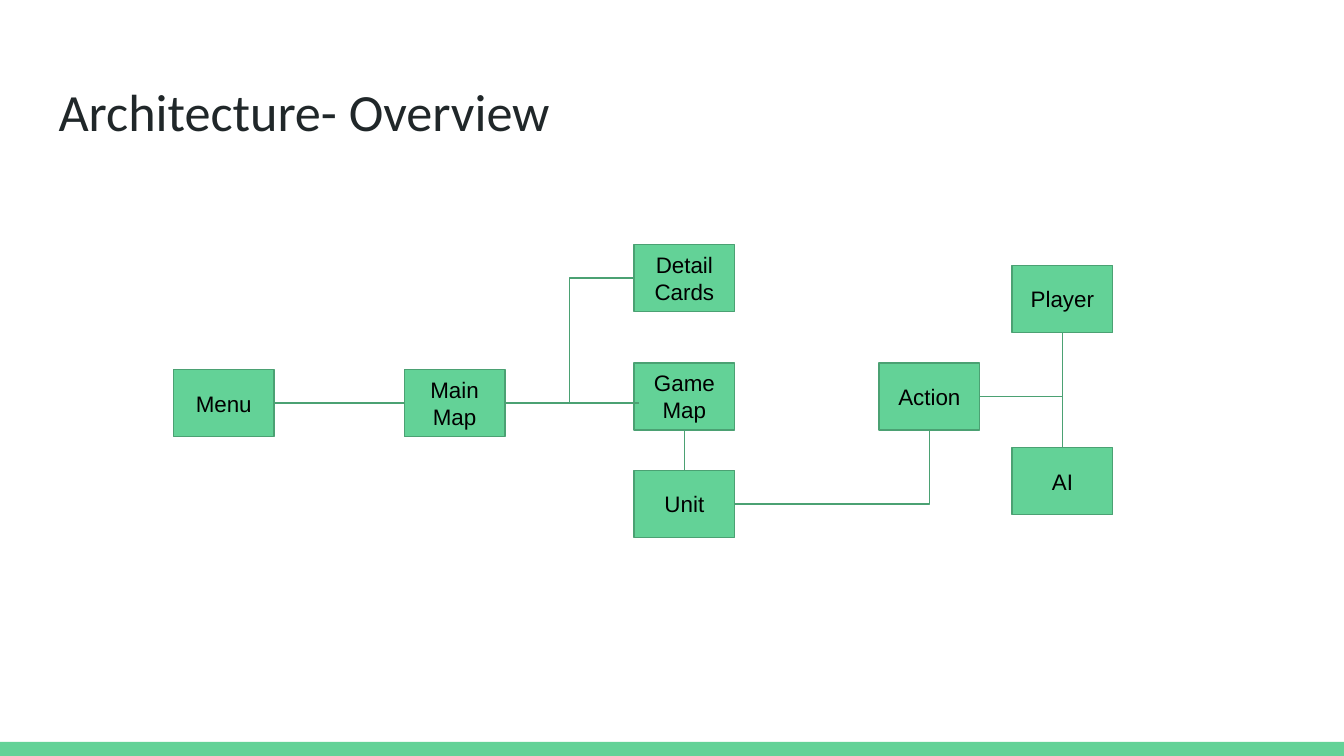
"""Build the architecture overview slide on a grid of box-sized cells."""
from lxml import etree
from pptx import Presentation, util as u
from pptx.dml.color import RGBColor
from pptx.enum import shapes, text
from pptx.oxml import ns

COLUMN, ROW = u.Inches(0.75), u.Inches(0.5)
GREEN, DARK_GREEN = "63D297", "4BA173"


def color(value):
    return RGBColor.from_string(value)


def write(shape, wording, font="Arial", size=12, ink="000000",
          align=text.PP_ALIGN.CENTER, anchor=text.MSO_ANCHOR.MIDDLE):
    frame = shape.text_frame
    frame.word_wrap = True
    frame.vertical_anchor = anchor
    frame.margin_left = frame.margin_right = u.Inches(0.1)
    frame.margin_top = frame.margin_bottom = u.Inches(0.1)
    paragraph = frame.paragraphs[0]
    paragraph.alignment = align
    run = paragraph.add_run()
    run.text = wording
    run.font.name, run.font.size = font, u.Pt(size)
    run.font.color.rgb = color(ink)


presentation = Presentation()
presentation.slide_width, presentation.slide_height = u.Inches(10), int(11.25 * ROW)
slide = presentation.slides.add_slide(presentation.slide_layouts[6])

footer = slide.shapes.add_shape(shapes.MSO_SHAPE.RECTANGLE, 0, int(11.04 * ROW),
                                presentation.slide_width, int(0.21 * ROW))
footer.shadow.inherit = False
footer.fill.solid()
footer.fill.fore_color.rgb = color(GREEN)
footer.line.fill.background()

title = slide.shapes.add_textbox(int(0.45 * COLUMN), int(0.98 * ROW),
                                 int(12.43 * COLUMN), int(1.26 * ROW))
write(title, "Architecture- Overview", font="Calibri", size=28, ink="202729",
      align=text.PP_ALIGN.LEFT, anchor=text.MSO_ANCHOR.TOP)

positions = {
    "AI": (10.04, 6.66),
    "Player": (10.04, 3.95),
    "Action": (8.72, 5.4),
    "Game Map": (6.29, 5.4),
    "Menu": (1.72, 5.5),
    "Main Map": (4.01, 5.5),
    "Detail Cards": (6.29, 3.64),
    "Unit": (6.29, 7),
}
boxes = {}
for name, (column, row) in positions.items():
    box = slide.shapes.add_shape(shapes.MSO_SHAPE.RECTANGLE, int(column * COLUMN),
                                 int(row * ROW), COLUMN, ROW)
    box.shadow.inherit = False
    box.fill.solid()
    box.fill.fore_color.rgb = color(GREEN)
    box.line.color.rgb = color(DARK_GREEN)
    box.line.width = u.Pt(0.75)
    write(box, name)
    boxes[name] = box

TOP, LEFT, BOTTOM, RIGHT = range(4)
links = [
    ("Menu", RIGHT, "Main Map", LEFT, "line"),
    ("Main Map", RIGHT, "Detail Cards", LEFT, "bentConnector3"),
    ("Game Map", BOTTOM, "Unit", TOP, "line"),
    ("Action", RIGHT, "Player", BOTTOM, "bentConnector2"),
    ("Action", RIGHT, "AI", TOP, "bentConnector2"),
    ("Unit", RIGHT, "Action", BOTTOM, "bentConnector2"),
    ("Main Map", RIGHT, "Game Map", None, "line"),
]
for start, start_side, end, end_side, geometry in links:
    kind = shapes.MSO_CONNECTOR.STRAIGHT if geometry == "line" else shapes.MSO_CONNECTOR.ELBOW
    level = boxes[start].top + ROW // 2
    link = slide.shapes.add_connector(kind, boxes[start].left + COLUMN, level,
                                      boxes[end].left + int(0.05 * COLUMN), level)
    link.begin_connect(boxes[start], start_side)
    if end_side is not None:
        link.end_connect(boxes[end], end_side)
    link.line.color.rgb = color(DARK_GREEN)
    link.line.width = u.Pt(0.75)
    properties = link.element.spPr
    properties.find(ns.qn("a:prstGeom")).set("prst", geometry)
    etree.SubElement(properties, ns.qn("a:effectLst"))

presentation.save("out.pptx")
